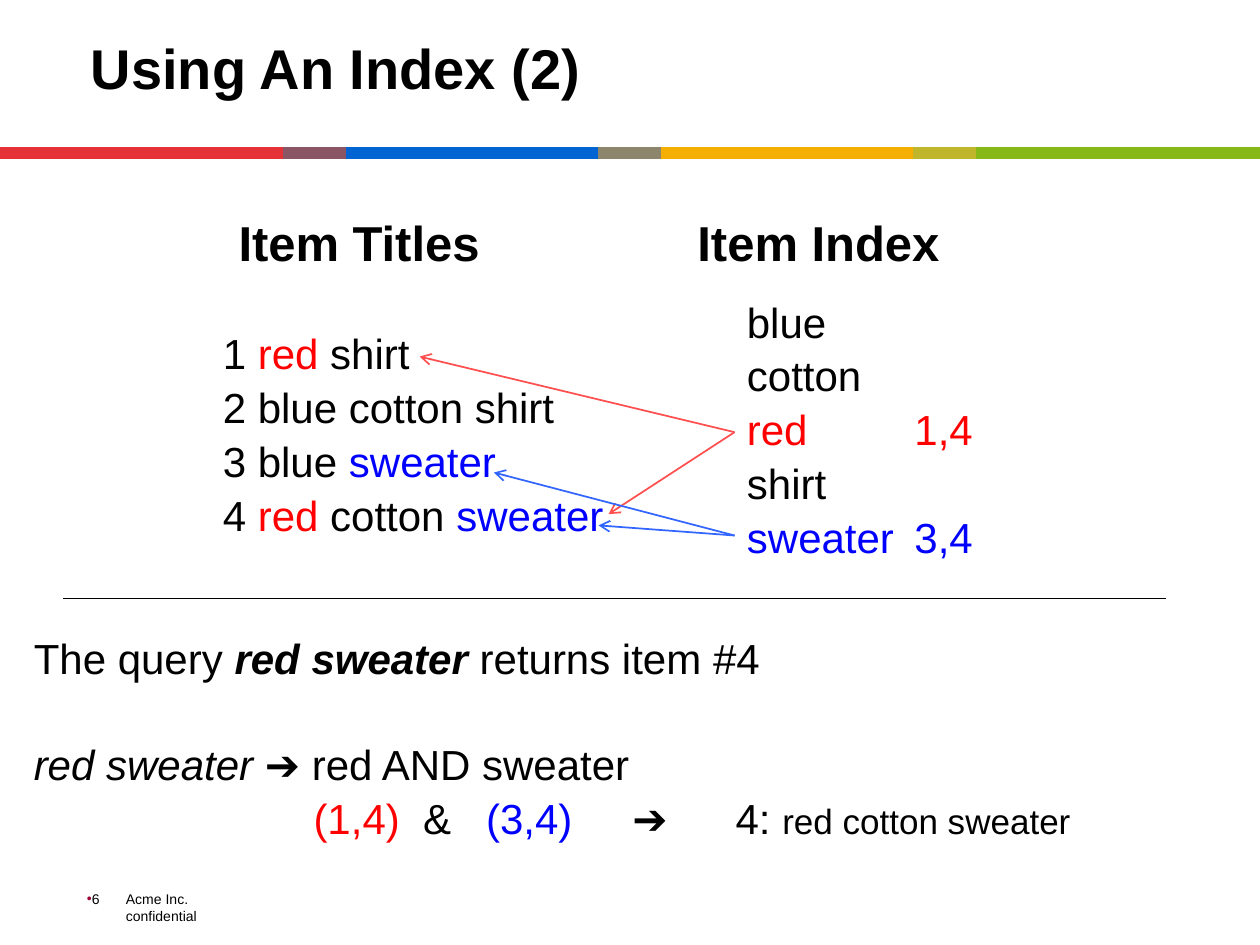
from lxml.etree import SubElement
from pptx import Presentation
from pptx.dml.color import RGBColor
from pptx.enum.shapes import MSO_CONNECTOR, MSO_SHAPE
from pptx.enum.text import MSO_ANCHOR, PP_ALIGN
from pptx.oxml.ns import qn
from pptx.util import Inches, Pt

LEFT, CENTER = PP_ALIGN.LEFT, PP_ALIGN.CENTER
TOP, MIDDLE, BOTTOM = MSO_ANCHOR.TOP, MSO_ANCHOR.MIDDLE, MSO_ANCHOR.BOTTOM
RECT, STRAIGHT = MSO_SHAPE.RECTANGLE, MSO_CONNECTOR.STRAIGHT
FONT = "Arial"
GAP = 3.5
COLORS = {
    "black": "000000", "red": "FF0000", "blue": "0000FF",
    "rose": "FF5050", "sky": "3366FF", "wine": "990033",
}
BANDS = [
    (2.25, "E53238"), (0.5, "8A5666"), (2, "0064D2"), (0.5, "8D866D"),
    (2, "F5AF02"), (0.5, "BFB62B"), (2.25, "86B817"),
]


def rgb(name):
    """Return the named colour."""
    return RGBColor.from_string(COLORS[name])


def add_run(para, text, color="black", size=24, bold=False, italic=False):
    """Add one styled run to a paragraph."""
    run = para.add_run()
    run.text = text
    font = run.font
    font.name, font.size = FONT, Pt(size)
    font.bold, font.italic = bold, italic
    font.color.rgb = rgb(color)


def add_tabs(para, stops):
    """Set left tab stops, in inches, on a paragraph."""
    tabs = SubElement(para._p.get_or_add_pPr(), qn("a:tabLst"))
    for stop in stops:
        SubElement(tabs, qn("a:tab"), pos=str(Inches(stop)), algn="l")


def add_bullet(para, color, indent):
    """Give a paragraph a small coloured bullet."""
    props = para._p.get_or_add_pPr()
    props.set("marL", str(Inches(indent)))
    props.set("indent", str(-Inches(indent)))
    tint = SubElement(props, qn("a:buClr"))
    SubElement(tint, qn("a:srgbClr"), val=COLORS[color])
    SubElement(props, qn("a:buFont"), typeface=FONT)
    SubElement(props, qn("a:buChar"), char="•")


def add_text(slide, box, lines, align=LEFT, wrap=True, anchor=TOP,
             space=0.95, after=GAP, stops=()):
    """Add a text box whose lines are lists of runs."""
    shape = slide.shapes.add_textbox(*map(Inches, box))
    frame = shape.text_frame
    frame.word_wrap, frame.vertical_anchor = wrap, anchor
    for i, runs in enumerate(lines):
        para = frame.paragraphs[0] if i == 0 else frame.add_paragraph()
        para.alignment, para.line_spacing = align, space
        para.space_after = Pt(after)
        if stops:
            add_tabs(para, stops)
        for run in runs:
            add_run(para, *run)
    return shape


def add_line(slide, start, end, color, arrow=False):
    """Add a straight line, with an open arrowhead if asked."""
    line = slide.shapes.add_connector(STRAIGHT, *map(Inches, start + end))
    line.line.color.rgb, line.line.width = rgb(color), Pt(1)
    if arrow:
        SubElement(line.line._get_or_add_ln(), qn("a:tailEnd"), type="arrow")
    SubElement(line._element.spPr, qn("a:effectLst"))
    return line


def add_title(slide, box, text):
    """Place and format the title."""
    title = slide.shapes.title
    title.left, title.top, title.width, title.height = map(Inches, box)
    frame = title.text_frame
    frame.vertical_anchor = MIDDLE
    para = frame.paragraphs[0]
    para.alignment, para.line_spacing = LEFT, 1.07
    add_run(para, text, size=32, bold=True)


def add_stripe(slide, left, top, height):
    """Draw the coloured stripe from left to right."""
    for width, color in BANDS:
        band = slide.shapes.add_shape(
            RECT, *map(Inches, (left, top, width, height)))
        band.shadow.inherit = False
        band.fill.solid()
        band.fill.fore_color.rgb = RGBColor.from_string(color)
        band.line.color.rgb = RGBColor.from_string(color)
        band.line.width = Pt(0.75)
        left += width


def add_head(slide, box, text):
    """Add a column heading."""
    add_text(slide, box, [[(text, "black", 28, True)]], CENTER, False)


def add_items(slide, left, top):
    """Add the list of item titles."""
    add_head(slide, (left + 0.11, top, 2.14, 0.55), "Item Titles")
    add_text(slide, (left, top + 0.91, 3.58, 1.76), [
        [("1 ",), ("red", "red"), (" shirt",)],
        [("2 blue cotton shirt",)],
        [("3 blue ",), ("sweater", "blue")],
        [("4 ",), ("red", "red"), (" cotton ",), ("sweater", "blue")],
    ])


def add_index(slide, left, top):
    """Add the word index and return its box."""
    add_head(slide, (left - 0.41, top, 2.15, 0.55), "Item Index")
    return add_text(slide, (left, top + 0.66, 2.04, 2.2), [
        [("blue",)],
        [("cotton",)],
        [("red\t1,4", "red")],
        [("shirt",)],
        [("sweater\t3,4", "blue")],
    ], stops=[1.33])


def add_links(slide, index, left):
    """Draw arrows from index words to the matching items."""
    for end in ((3.33, 2.83), (4.83, 4.08)):
        link = add_line(slide, (left, 3.43), end, "rose", True)
        link.begin_connect(index, 1)
    for end in ((3.92, 3.75), (4.75, 4.17)):
        add_line(slide, (left, 4.25), end, "sky", True)


def add_query(slide, box):
    """Add the worked query."""
    shape = add_text(slide, box, [
        [("The query ",), ("red sweater ", "black", 24, True, True),
         ("returns item #4",)],
        [("red sweater ", "black", 24, False, True),
         ("➔ red AND sweater",)],
        [("\t(1,4)", "red"), ("\t&",), ("\t(3,4)", "blue"),
         ("\t➔\t4: ",), ("red cotton sweater", "black", 20)],
    ], stops=[2.22, 3.09, 3.59, 4.75, 5.57])
    shape.text_frame.paragraphs[0].space_after = Pt(GAP + 29.7)


def add_foot(slide, left, top):
    """Add the page number and the footer note."""
    page = add_text(slide, (left, top, 0.35, 0.25), [[("6", "black", 8)]],
                    anchor=BOTTOM, space=1, after=0)
    add_bullet(page.text_frame.paragraphs[0], "wine", 0.04)
    add_text(slide, (left + 0.31, top + 0.01, 0.95, 0.37),
             [[("Acme Inc. confidential", "black", 8)]], space=1.05, after=0)


def main():
    """Build and save the slide."""
    deck = Presentation()
    deck.slide_width, deck.slide_height = Inches(10), Inches(7.5)
    slide = deck.slides.add_slide(deck.slide_layouts[5])
    add_stripe(slide, 0, 1.17, 0.09)
    add_title(slide, (0.62, 0.12, 8.88, 0.79), "Using An Index (2)")
    add_line(slide, (0.5, 4.75), (9.25, 4.75), "black")
    add_query(slide, (0.17, 5, 9.17, 1.76))
    add_items(slide, 1.67, 1.67)
    index = add_index(slide, 5.83, 1.67)
    add_links(slide, index, 5.83)
    add_foot(slide, 0.59, 7)
    deck.save("out.pptx")


if __name__ == "__main__":
    main()
